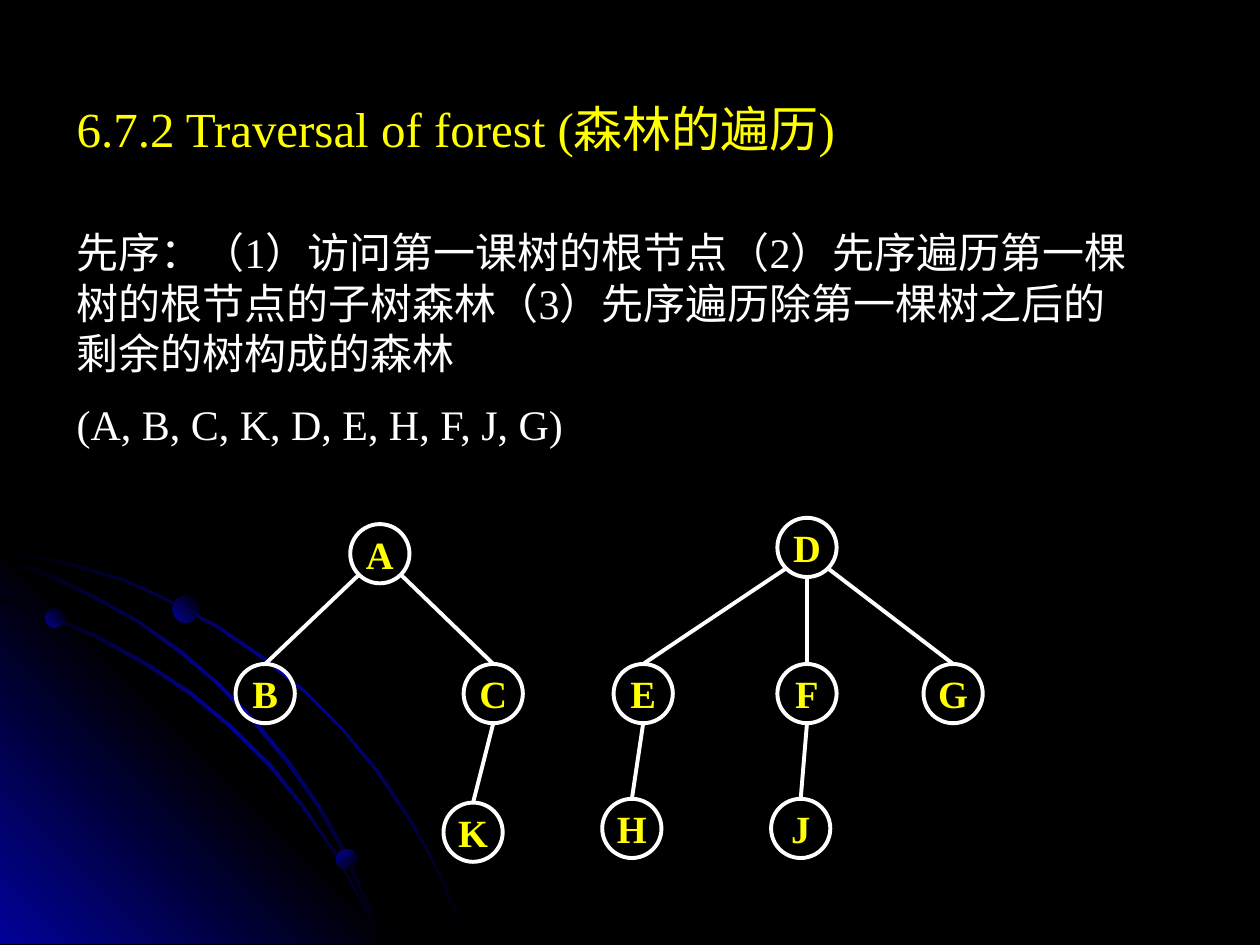
from copy import deepcopy
from math import sqrt

from pptx import Presentation
from pptx.dml.color import RGBColor
from pptx.enum.shapes import MSO_CONNECTOR, MSO_SHAPE
from pptx.enum.text import MSO_ANCHOR, MSO_AUTO_SIZE, PP_ALIGN
from pptx.oxml.ns import qn
from pptx.oxml.xmlchemy import OxmlElement
from pptx.util import Inches, Pt

OVAL, STRAIGHT = MSO_SHAPE.OVAL, MSO_CONNECTOR.STRAIGHT
MIDDLE, CENTER = MSO_ANCHOR.MIDDLE, PP_ALIGN.CENTER
GROW = MSO_AUTO_SIZE.SHAPE_TO_FIT_TEXT

BLACK = RGBColor(0x00, 0x00, 0x00)
BLUE = RGBColor(0x01, 0x01, 0x99)
WHITE = RGBColor(0xFF, 0xFF, 0xFF)
YELLOW = RGBColor(0xFF, 0xFF, 0x00)

FONT = "Times New Roman"
TITLE = {"name": FONT, "size": Pt(28), "color": YELLOW}
BODY = {"name": FONT, "size": Pt(24), "color": WHITE}
LABEL = {"name": FONT, "size": Pt(22), "color": YELLOW, "bold": True}

# Decoration outlines in inches
OUTER_ARC = [
    (0.57, 4.47), (0.28, 4.41), (0, 4.35), (0, 4.38), (0.28, 4.43), (0.56, 4.49),
    (0.97, 4.61), (1.35, 4.78), (1.73, 4.99), (2.08, 5.23), (2.41, 5.49),
    (2.71, 5.79), (2.98, 6.12), (3.23, 6.49), (3.37, 6.73), (3.5, 6.98),
    (3.6, 7.23), (3.7, 7.49), (3.72, 7.49), (3.62, 7.23), (3.52, 6.98),
    (3.39, 6.73), (3.25, 6.48), (3, 6.11), (2.72, 5.78), (2.42, 5.48),
    (2.09, 5.21), (1.74, 4.97), (1.36, 4.77), (0.98, 4.59)]
CORNER = [(3.22, 7.49), (0, 7.49), (0, 4.27)]
INNER_ARC = [
    (2.85, 7.14), (2.94, 7.32), (3.01, 7.49), (3.03, 7.49), (2.96, 7.3),
    (2.86, 7.12), (2.66, 6.76), (2.42, 6.4), (2.15, 6.06), (1.84, 5.76),
    (1.52, 5.49), (1.17, 5.26), (0.79, 5.05), (0.41, 4.88), (0, 4.75),
    (0, 4.77), (0.39, 4.9), (0.77, 5.07), (1.15, 5.28), (1.5, 5.51),
    (1.83, 5.78), (2.13, 6.08), (2.4, 6.41), (2.65, 6.77)]
MIDDLE_ARC = [
    (0, 4.42), (0, 4.44), (0.36, 4.57), (0.74, 4.75), (1.09, 4.94), (1.42, 5.18),
    (1.73, 5.44), (2.02, 5.75), (2.27, 6.05), (2.52, 6.41), (2.67, 6.67),
    (2.8, 6.94), (2.92, 7.22), (3.01, 7.49), (3.03, 7.49), (2.94, 7.2),
    (2.82, 6.93), (2.69, 6.65), (2.54, 6.39), (2.29, 6.03), (2.04, 5.73),
    (1.75, 5.43), (1.44, 5.16), (1.11, 4.93), (0.76, 4.73), (0.39, 4.55)]

# Forest: top-left corner of each node, then parent, child and side of the parent
NODE_SIZE = 0.47
NODES = {
    "A": (2.78, 4.16), "B": (1.87, 5.27), "C": (3.68, 5.27), "H": (4.78, 6.34),
    "D": (6.17, 4.11), "E": (4.87, 5.27), "F": (6.17, 5.27), "G": (7.33, 5.27),
    "K": (3.52, 6.37), "J": (6.12, 6.34)}
EDGES = [("A", "B", -1), ("A", "C", 1), ("C", "K", 0), ("D", "E", -1),
         ("D", "F", 0), ("D", "G", 1), ("E", "H", 0), ("F", "J", 0)]


class ForestSlide:
    def __init__(self, deck):
        self.page = deck.slides.add_slide(deck.slide_layouts[6])
        self.shapes = self.page.shapes
        background = self.page.background.fill
        background.solid()
        background.fore_color.rgb = BLACK

    def style(self, font, values):
        for key, value in values.items():
            if key == "color":
                font.color.rgb = value
            else:
                setattr(font, key, value)

    def shade(self, shape, colors, angle):
        shape.shadow.inherit = False
        shape.line.fill.background()
        shape.fill.gradient()
        shape.fill.gradient_angle = angle
        stops = shape._element.spPr.find(".//" + qn("a:gsLst"))
        for _ in colors[2:]:
            stops.append(deepcopy(stops[-1]))
        for index, (stop, color) in enumerate(zip(shape.fill.gradient_stops, colors)):
            stop.position = index / (len(colors) - 1)
            stop.color.rgb = color

    def outline(self, points, colors, angle):
        units = [(x * 100, y * 100) for x, y in points]
        builder = self.shapes.build_freeform(*units[0], scale=Inches(0.01))
        builder.add_line_segments(units[1:], close=True)
        self.shade(builder.convert_to_shape(), colors, angle)

    def oval(self, left, top, size):
        return self.shapes.add_shape(
            OVAL, Inches(left), Inches(top), Inches(size), Inches(size))

    def text(self, left, top, width, height, lines, values):
        box = self.shapes.add_textbox(
            Inches(left), Inches(top), Inches(width), Inches(height))
        frame = box.text_frame
        frame.word_wrap = True
        frame.auto_size = GROW
        for index, line in enumerate(lines):
            para = frame.add_paragraph() if index else frame.paragraphs[0]
            if index:
                para.space_before = Pt(12)
            span = para.add_run()
            span.text = line
            self.style(span.font, values)

    def node(self, name, left, top):
        shape = self.oval(left, top, NODE_SIZE)
        shape.shadow.inherit = False
        shape.fill.background()
        self.stroke(shape.line)
        frame = shape.text_frame
        frame.word_wrap = False
        frame.vertical_anchor = MIDDLE
        para = frame.paragraphs[0]
        para.alignment = CENTER
        span = para.add_run()
        span.text = name
        self.style(span.font, LABEL)

    def stroke(self, line):
        line.color.rgb = WHITE
        line.width = Pt(2.25)

    def edge(self, parent, child, side):
        radius = NODE_SIZE / 2
        reach = radius / sqrt(2)
        left, top = NODES[parent]
        start_x = left + radius + side * reach
        start_y = top + radius + (reach if side else radius)
        end_x, end_y = NODES[child][0] + radius, NODES[child][1]
        line = self.shapes.add_connector(
            STRAIGHT, Inches(start_x), Inches(start_y), Inches(end_x), Inches(end_y))
        self.stroke(line.line)
        line._element.spPr.append(OxmlElement("a:effectLst"))


def main():
    deck = Presentation()
    deck.slide_width, deck.slide_height = Inches(10), Inches(7.5)
    slide = ForestSlide(deck)

    # Corner decoration
    glow = (BLACK, BLUE, BLACK)
    slide.outline(OUTER_ARC, glow, 315)
    slide.outline(CORNER, (BLUE, BLACK, BLUE), 45)
    slide.outline(INNER_ARC, glow, 315)
    slide.outline(MIDDLE_ARC, glow, 315)
    for left, top, size, angle in [
            (0.36, 4.83, 0.15, 45), (2.67, 6.74, 0.16, 315), (1.37, 4.73, 0.21, 45)]:
        slide.shade(slide.oval(left, top, size), (BLUE, BLACK), angle)

    # Title and explanation
    slide.text(0.51, 1.75, 8.65, 1.92, [
        "先序：（1）访问第一课树的根节点（2）先序遍历第一棵树的根节点的子树森林"
        "（3）先序遍历除第一棵树之后的剩余的树构成的森林",
        "(A, B, C, K, D, E, H, F, J, G)"], BODY)
    slide.text(0.51, 0.73, 6.61, 0.57,
               ["6.7.2 Traversal of forest (森林的遍历)"], TITLE)

    # Two trees
    for name, (left, top) in NODES.items():
        slide.node(name, left, top)
    for parent, child, side in EDGES:
        slide.edge(parent, child, side)

    deck.save("out.pptx")


if __name__ == "__main__":
    main()
